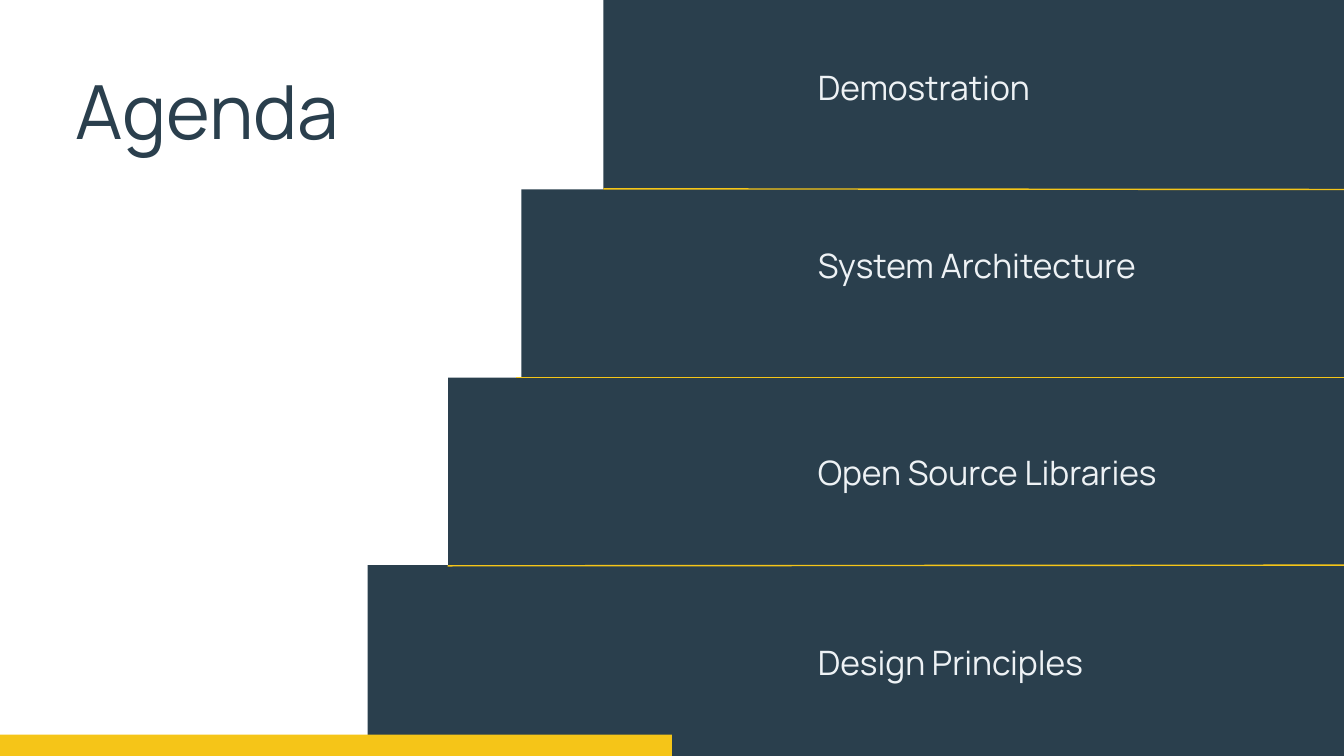
from pptx import Presentation
from pptx.dml.color import RGBColor
from pptx.enum.shapes import MSO_CONNECTOR as Connector, MSO_SHAPE as Shape
from pptx.enum.text import MSO_AUTO_SIZE as AutoSize
from pptx.oxml.ns import qn
from pptx.util import Pt
from lxml.etree import SubElement

WIDTH, HEIGHT = 1440, 810
COLORS = {"navy": "2A3F4D", "yellow": "F5C518", "pale": "EEF2F5", "white": "FFFFFF"}
STEP_HEIGHT = 204.5
STEPS = [
    ("Demostration", 646.56, 0, 64.08),
    ("System Architecture", 558.72, 203.04, 254.88),
    ("Open Source Libraries", 480.24, 404.64, 476.64),
    ("Design Principles", 393.84, 605.52, 680.4),
]
DIVIDERS = [(646.56, 202.32, 203.04), (552.96, 404.64, 404.64), (479.52, 606.24, 605.52)]


def color(name):
    """Return the named colour."""
    return RGBColor.from_string(COLORS[name])


def add_block(slide, left, top, width, height, fill):
    """Add a plain filled rectangle."""
    shape = slide.shapes.add_shape(
        Shape.RECTANGLE, Pt(left), Pt(top), Pt(width), Pt(height))
    shape.shadow.inherit = False
    shape.fill.solid()
    shape.fill.fore_color.rgb = color(fill)
    shape.line.fill.background()


def add_text(slide, text, box, size, spacing, fill):
    """Add a one-line text box without insets."""
    shape = slide.shapes.add_textbox(*(Pt(value) for value in box))
    frame = shape.text_frame
    frame_format = {
        "margin_left": 0, "margin_top": 0, "margin_right": 0, "margin_bottom": 0,
        "word_wrap": True, "auto_size": AutoSize.SHAPE_TO_FIT_TEXT,
    }
    for name, value in frame_format.items():
        setattr(frame, name, value)
    paragraph = frame.paragraphs[0]
    paragraph.line_spacing = Pt(spacing)
    run = paragraph.add_run()
    run.text = text
    for name, value in {"name": "Manrope", "size": Pt(size)}.items():
        setattr(run.font, name, value)
    run.font.color.rgb = color(fill)


def add_divider(slide, left, start, end):
    """Add a yellow line running to the right edge."""
    line = slide.shapes.add_connector(
        Connector.STRAIGHT, Pt(left), Pt(start), Pt(WIDTH), Pt(end))
    line.line.color.rgb = color("yellow")
    line.line.width = Pt(1.5)
    SubElement(line._element.spPr, qn("a:effectLst"))


def main():
    """Build the agenda slide."""
    presentation = Presentation()
    presentation.slide_width, presentation.slide_height = Pt(WIDTH), Pt(HEIGHT)
    slide = presentation.slides.add_slide(presentation.slide_layouts[6])
    slide.background.fill.solid()
    slide.background.fill.fore_color.rgb = color("white")

    for _, left, top, _ in reversed(STEPS):
        add_block(slide, left, top, WIDTH - left, min(STEP_HEIGHT, HEIGHT - top), "navy")
    for label, _, _, text_top in STEPS:
        add_text(slide, label, (876.24, text_top, 470.16, 51.12), 36, 50.4, "pale")
    add_text(slide, "Agenda", (80.64, 69.12, 365.76, 102.96), 80, 96, "navy")
    add_block(slide, 0, 787, WIDTH / 2, 23, "yellow")
    for divider in DIVIDERS:
        add_divider(slide, *divider)

    presentation.save("out.pptx")


if __name__ == "__main__":
    main()
